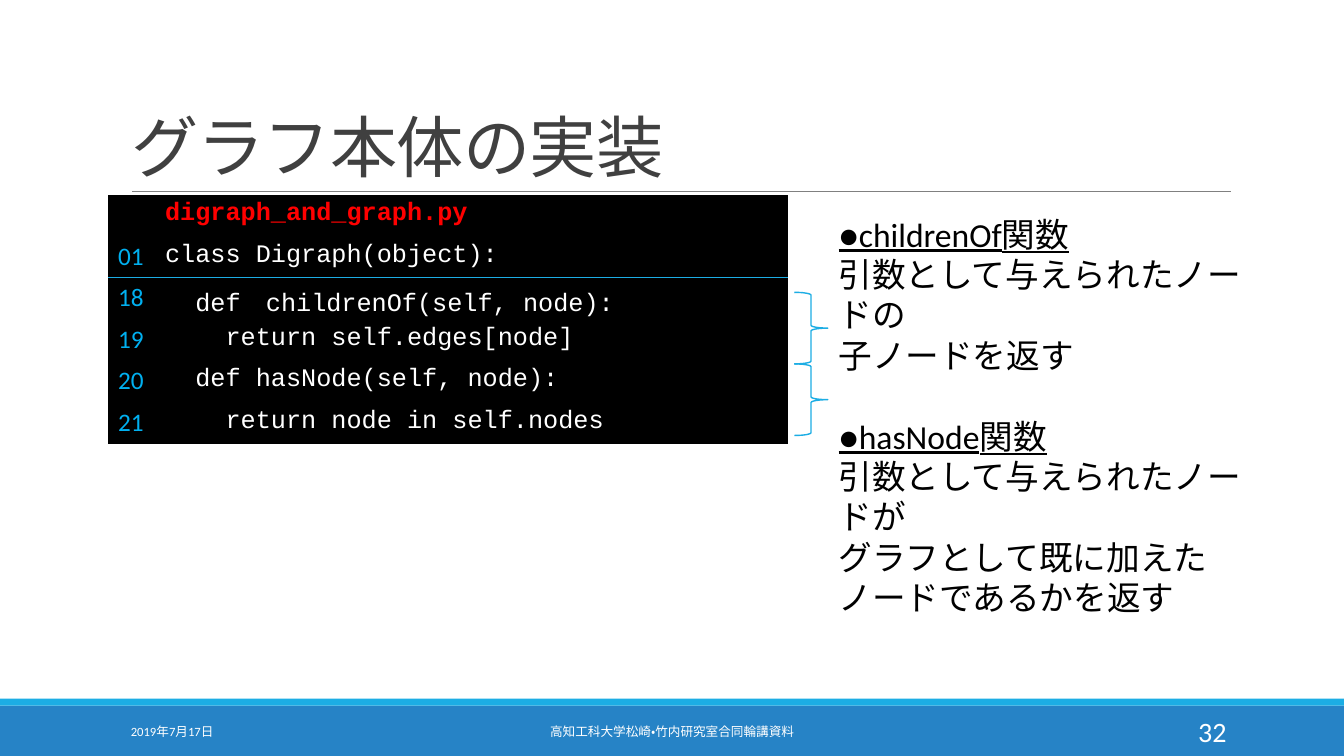
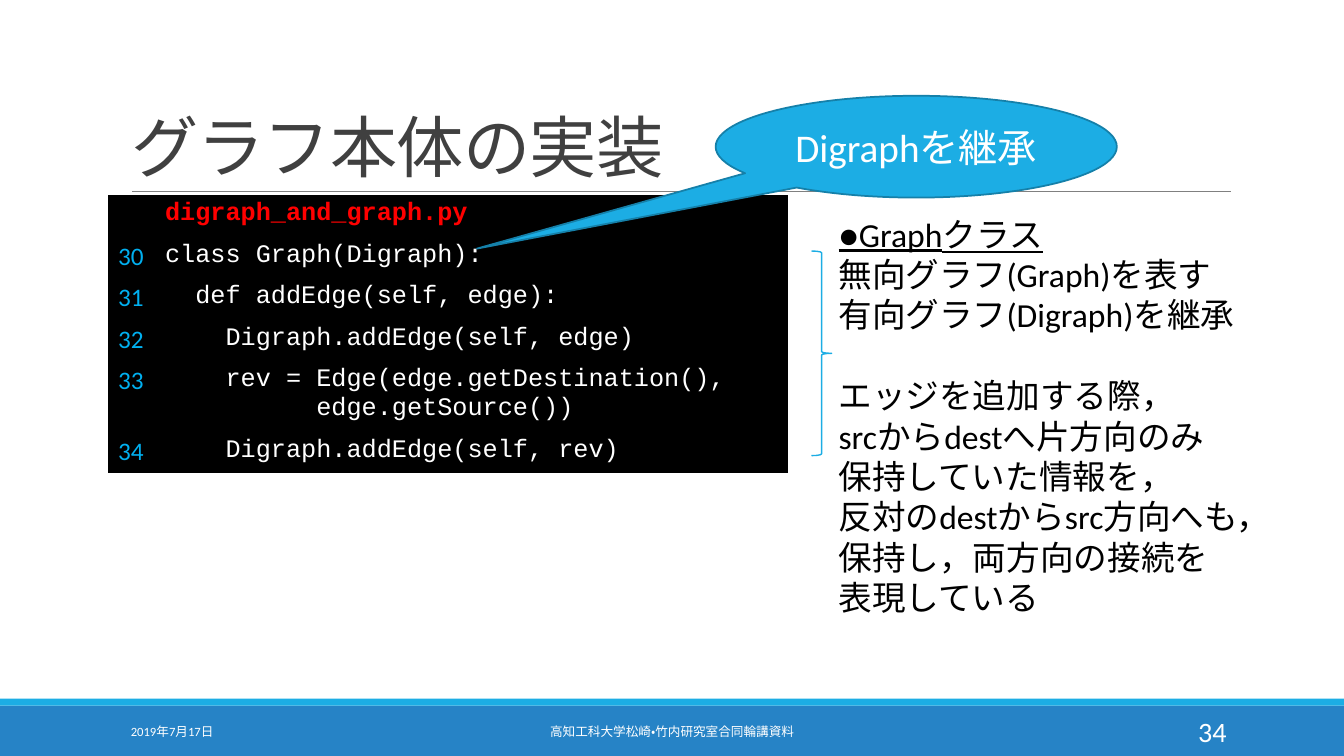
from lxml.etree import SubElement
from pptx import Presentation
from pptx.dml.color import RGBColor
from pptx.enum.lang import MSO_LANGUAGE_ID as LANGUAGE
from pptx.enum.shapes import MSO_CONNECTOR, MSO_SHAPE
from pptx.enum.text import MSO_ANCHOR, MSO_AUTO_SIZE, PP_ALIGN
from pptx.oxml.ns import qn
from pptx.util import Inches, Pt

COLORS = {
    "band": "2683C6", "accent": "1CADE4", "accent_dark": "1580A9",
    "rule": "808080", "title": "404040", "black": "000000",
    "white": "FFFFFF", "file_name": "FF0000", "line_number": "00B0F0",
}
TEXT_FONT, CODE_FONT = "Calibri", "Courier New"
WIDTH, HEIGHT = Inches(13.33), Inches(7.5)
PLAIN_TABLE_STYLE = "{2D5ABB26-0587-4C30-8999-92F81FD0307C}"

# Lengths below are percentages of the slide's width and height
TITLE_BOX = (9, 4.1, 82.5, 21.2)
TABLE_LEFT, TABLE_TOP, ROW_HEIGHT = 8.03, 25.73, 5.5
TABLE_COLUMNS = (3.5, 47.1)
NOTE_LEFT, NOTE_TOP, NOTE_LINE = 61.65, 27.6, Pt(29)

TITLE = "グラフ本体の実装"
FILE_NAME = "digraph_and_graph.py"
DATE = "2019年7月17日"
FOOTER = "高知工科大学松崎・竹内研究室合同輪講資料"


def color(name):
    return RGBColor.from_string(COLORS[name])


def across(share):
    return round(WIDTH * share / 100)


def down(share):
    return round(HEIGHT * share / 100)


def area(left, top, width, height):
    return across(left), down(top), across(width), down(height)


def format_text(text_frame, size, color_name, font=TEXT_FONT, bold=False, align=PP_ALIGN.LEFT):
    for paragraph in text_frame.paragraphs:
        paragraph.alignment = align
        for run in paragraph.runs:
            run.font.name, run.font.size, run.font.bold = font, Pt(size), bold
            run.font.color.rgb = color(color_name)
            run.font.language_id = LANGUAGE.JAPANESE


def add_shape(slide, kind, box, fill=None, line=None, line_width=1):
    shape = slide.shapes.add_shape(kind, *area(*box))
    shape.shadow.inherit = False
    if fill:
        shape.fill.solid()
        shape.fill.fore_color.rgb = color(fill)
    else:
        shape.fill.background()
    if line:
        shape.line.color.rgb = color(line)
        shape.line.width = Pt(line_width)
    else:
        shape.line.fill.background()
    return shape


def add_rule(slide, left, right, top, color_name, width):
    rule = slide.shapes.add_connector(
        MSO_CONNECTOR.STRAIGHT, across(left), down(top), across(right), down(top))
    rule.line.color.rgb = color(color_name)
    rule.line.width = Pt(width)
    SubElement(rule.element.spPr, qn("a:effectLst"))
    return rule


def add_brace(slide, box):
    add_shape(slide, MSO_SHAPE.RIGHT_BRACE, box, line="accent")


def add_footer(slide, left, width, text, size, align):
    box = slide.shapes.add_textbox(*area(left, 94.13, width, 5.33))
    box.text_frame.word_wrap = True
    box.text_frame.vertical_anchor = MSO_ANCHOR.MIDDLE
    box.text_frame.text = text
    format_text(box.text_frame, size, "white", align=align)


def add_code_table(slide, lines):
    """Table of line numbers and code under the file name."""
    rows = [("", FILE_NAME)] + lines
    frame = slide.shapes.add_table(
        len(rows), 2, *area(TABLE_LEFT, TABLE_TOP, sum(TABLE_COLUMNS), ROW_HEIGHT * len(rows)))
    table = frame.table
    table.first_row = table.horz_banding = False
    for style in frame.element.iter(qn("a:tableStyleId")):
        style.text = PLAIN_TABLE_STYLE
    for column, share in zip(table.columns, TABLE_COLUMNS):
        column.width = across(share)
    for index, texts in enumerate(rows):
        code_color = "white" if index else "file_name"
        looks = (("line_number", TEXT_FONT, False), (code_color, CODE_FONT, index == 0))
        for cell, text, look in zip(table.rows[index].cells, texts, looks):
            cell.fill.solid()
            cell.fill.fore_color.rgb = color("black")
            cell.text_frame.text = text
            format_text(cell.text_frame, 18, *look)


def add_notes(slide, width, height, groups):
    """Groups of lines; a line starting with a dot is an underlined heading."""
    box = slide.shapes.add_textbox(*area(NOTE_LEFT, NOTE_TOP, width, height))
    frame = box.text_frame
    frame.word_wrap = True
    frame.auto_size = MSO_AUTO_SIZE.SHAPE_TO_FIT_TEXT
    frame.text = "\n".join(line for group in groups for line in group)
    format_text(frame, 24, "black")
    group_starts = [group[0] for group in groups[1:]]
    for paragraph in frame.paragraphs:
        if paragraph.text in group_starts:
            paragraph.space_before = NOTE_LINE
        if paragraph.text.startswith("●"):
            paragraph.runs[0].font.underline = True


def add_callout(slide, box, text):
    callout = add_shape(slide, MSO_SHAPE.OVAL_CALLOUT, box, "accent", "accent_dark", 1.25)
    callout.adjustments[0], callout.adjustments[1] = -1.095, 1.001
    callout.text_frame.vertical_anchor = MSO_ANCHOR.MIDDLE
    callout.text_frame.text = text
    format_text(callout.text_frame, 28, "white", align=PP_ALIGN.CENTER)


def decorate_layout(layout, slide):
    """Draw the bands and the title rule, then move them to the layout."""
    title = layout.placeholders[0]
    title.left, title.top, title.width, title.height = area(*TITLE_BOX)
    parts = [
        add_shape(slide, MSO_SHAPE.RECTANGLE, (0, 93.33, 100, 6.67), "band"),
        add_shape(slide, MSO_SHAPE.RECTANGLE, (0, 92.4, 100, 0.93), "accent"),
        add_rule(slide, 9.83, 91.58, 25.33, "rule", 0.5),
    ]
    for part in parts:
        layout.shapes.element.append(part.element)


def add_slide_frame(slide, number):
    frame = slide.shapes.title.text_frame
    frame.text = TITLE
    frame.auto_size = MSO_AUTO_SIZE.NONE
    frame.vertical_anchor = MSO_ANCHOR.BOTTOM
    format_text(frame, 48, "title")
    frame.paragraphs[0].line_spacing = 0.85
    frame.paragraphs[0].runs[0].font._element.set("spc", "-50")
    add_footer(slide, 9, 20.25, DATE, 9, PP_ALIGN.LEFT)
    add_footer(slide, 30.25, 39.5, FOOTER, 9, PP_ALIGN.CENTER)
    add_footer(slide, 81.25, 10.75, str(number), 20, PP_ALIGN.RIGHT)


def fill_digraph_slide(slide):
    add_slide_frame(slide, 32)
    add_code_table(slide, [
        ("01", "class Digraph(object):"),
        ("18", "  def　childrenOf(self, node):"),
        ("19", "    return self.edges[node]"),
        ("20", "  def hasNode(self, node):"),
        ("21", "    return node in self.nodes"),
    ])
    brace_top, brace_height = 38.67, 9.47
    for index in range(2):
        add_brace(slide, (59.1, brace_top + index * brace_height, 2.5, brace_height))
    add_notes(slide, 32.9, 44.4, [
        ["●childrenOf関数", "引数として与えられたノードの", "子ノードを返す"],
        ["●hasNode関数", "引数として与えられたノードが", "グラフとして既に加えた",
         "ノードであるかを返す"],
    ])
    # Rule where the listing skips lines
    add_rule(slide, TABLE_LEFT, TABLE_LEFT + sum(TABLE_COLUMNS),
             TABLE_TOP + 2 * ROW_HEIGHT, "accent", 1)


def fill_graph_slide(slide):
    add_slide_frame(slide, 34)
    add_code_table(slide, [
        ("30", "class Graph(Digraph):"),
        ("31", "  def addEdge(self, edge):"),
        ("32", "    Digraph.addEdge(self, edge)"),
        ("33", "    rev = Edge(edge.getDestination(),\n          edge.getSource())"),
        ("34", "    Digraph.addEdge(self, rev)"),
    ])
    add_brace(slide, (60.38, 33.2, 1.5, 27.07))
    add_notes(slide, 32.25, 55.2, [
        ["●Graphクラス", "無向グラフ(Graph)を表す", "有向グラフ(Digraph)を継承"],
        ["エッジを追加する際，", "srcからdestへ片方向のみ", "保持していた情報を，",
         "反対のdestからsrc方向へも，", "保持し，両方向の接続を", "表現している"],
    ])
    add_callout(slide, (53.25, 12.67, 29.85, 13.47), "Digraphを継承")


def main():
    presentation = Presentation()
    presentation.slide_width, presentation.slide_height = WIDTH, HEIGHT
    layout = presentation.slide_layouts.get_by_name("Title Only")
    slides = [presentation.slides.add_slide(layout) for _ in range(2)]
    decorate_layout(layout, slides[0])
    fill_digraph_slide(slides[0])
    fill_graph_slide(slides[1])
    presentation.save("out.pptx")


if __name__ == "__main__":
    main()
